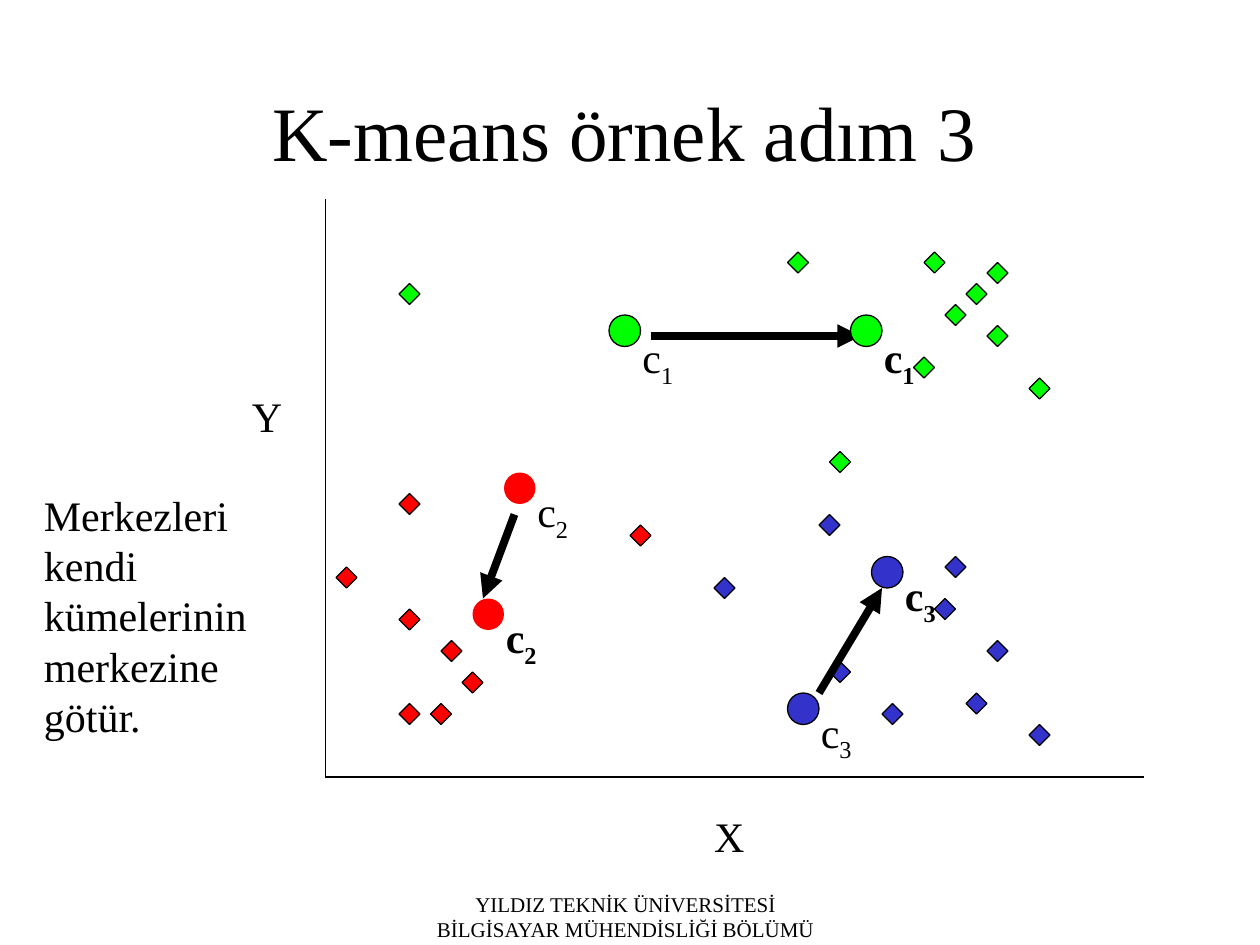
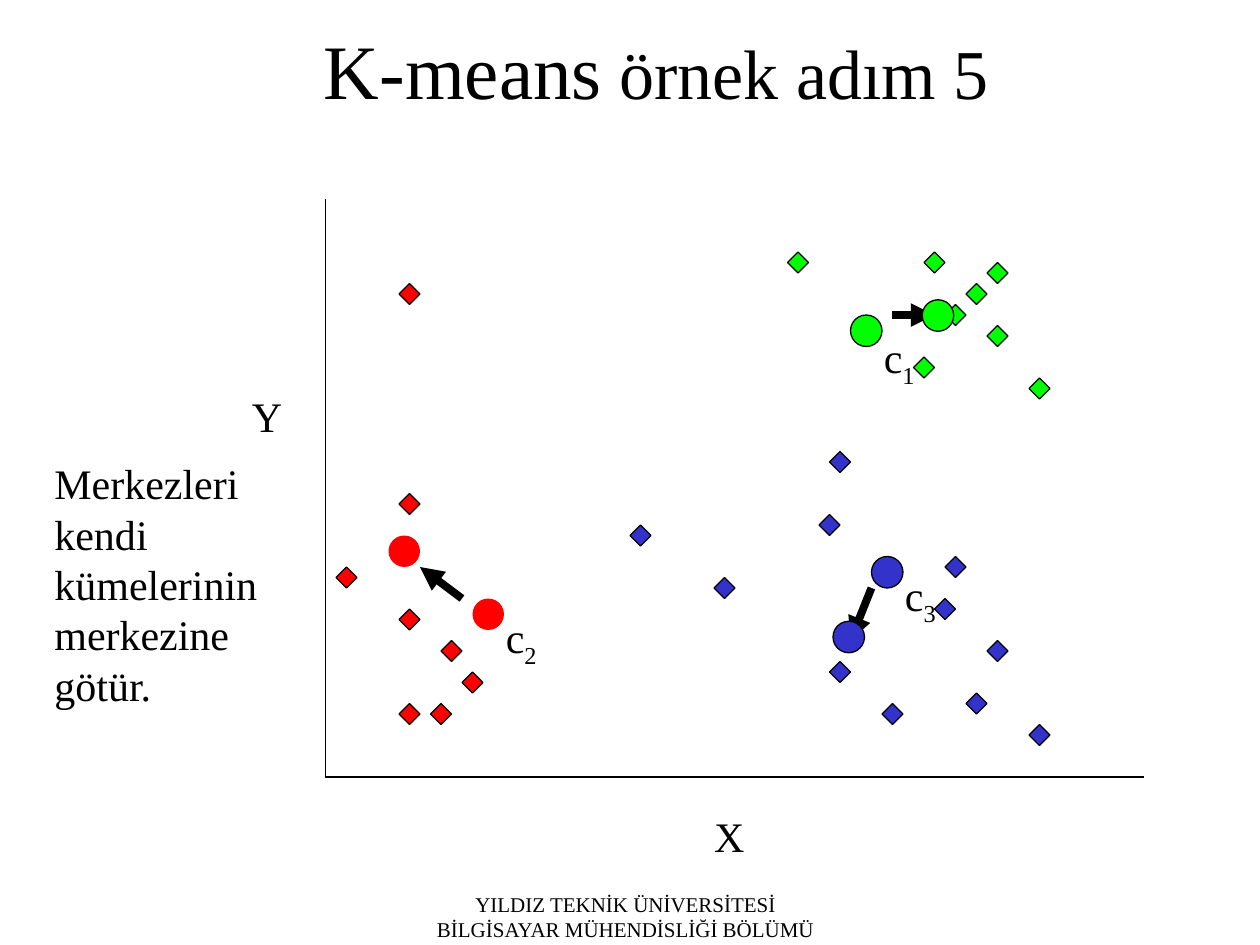
from lxml import etree
from pptx import Presentation
from pptx.dml.color import RGBColor
from pptx.enum import shapes, text
from pptx.oxml.ns import qn
from pptx.util import Pt

BLACK = RGBColor(0x00, 0x00, 0x00)
RED = RGBColor(0xFF, 0x00, 0x00)
GREEN = RGBColor(0x00, 0xFF, 0x00)
BLUE = RGBColor(0x33, 0x33, 0xCC)
FONT = "Times New Roman"
BODY_SIZE = 24
POINT_SIZE = 12
CENTER_SIZE = 18
ORIGIN = (186, 444)

# Left and top of the points that keep their cluster in both steps
STABLE_POINTS = {
    RED: [(252, 366), (264, 384), (246, 402), (228, 348), (228, 282),
          (228, 402), (192, 324)],
    GREEN: [(528, 144), (564, 150), (552, 162), (540, 174), (564, 186),
            (588, 216), (450, 144), (522, 204)],
    BLUE: [(474, 378), (504, 402), (534, 342), (468, 294), (408, 330),
           (564, 366), (552, 396), (540, 318), (588, 414)],
}
# Points that change cluster between the steps
UPPER_LEFT, MIDDLE, RIGHT = (228, 162), (360, 300), (474, 258)


def format_span(span, size, bold=False):
    span.font.name = FONT
    span.font.size = Pt(size)
    span.font.bold = bold
    span.font.color.rgb = BLACK


def add_text(slide, content, left, top, width, height, size=BODY_SIZE,
             align=text.PP_ALIGN.LEFT, wrap=True):
    box = slide.shapes.add_textbox(Pt(left), Pt(top), Pt(width), Pt(height))
    frame = box.text_frame
    frame.word_wrap = wrap
    frame.text = content
    for para in frame.paragraphs:
        para.alignment = align
        for span in para.runs:
            format_span(span, size)
    return box


def add_title(slide, parts, left, top, width, height):
    """Fill the title with (text, size) parts."""
    title = slide.shapes.title
    title.left, title.top = Pt(left), Pt(top)
    title.width, title.height = Pt(width), Pt(height)
    frame = title.text_frame
    frame.auto_size = text.MSO_AUTO_SIZE.NONE
    frame.vertical_anchor = text.MSO_ANCHOR.MIDDLE
    para = frame.paragraphs[0]
    para.alignment = text.PP_ALIGN.CENTER
    for words, size in parts:
        span = para.add_run()
        span.text = words
        format_span(span, size)


def add_marker(slide, kind, position, size, color, outlined=True):
    left, top = position
    marker = slide.shapes.add_shape(kind, Pt(left), Pt(top), Pt(size), Pt(size))
    marker.shadow.inherit = False
    marker.fill.solid()
    marker.fill.fore_color.rgb = color
    if outlined:
        marker.line.color.rgb = BLACK
        marker.line.width = Pt(0.75)
    else:
        marker.line.fill.background()


def add_line(slide, start, end, width=0.75, arrow=False):
    line = slide.shapes.add_connector(
        shapes.MSO_CONNECTOR.STRAIGHT, *map(Pt, start + end))
    line.line.color.rgb = BLACK
    line.line.width = Pt(width)
    properties = line.element.spPr
    if arrow:
        etree.SubElement(properties.find(qn("a:ln")), qn("a:tailEnd"),
                         type="triangle")
    etree.SubElement(properties, qn("a:effectLst"))


def add_points(slide, switching):
    for color, positions in STABLE_POINTS.items():
        for position in positions + switching[color]:
            add_marker(slide, shapes.MSO_SHAPE.DIAMOND, position, POINT_SIZE, color)


def add_axes(slide):
    add_line(slide, (ORIGIN[0], 114), ORIGIN)
    add_line(slide, ORIGIN, (654, ORIGIN[1]))
    add_text(slide, "X", 401, 459.4, 32, 36, wrap=False)
    add_text(slide, "Y", 136.8, 219.6, 32, 36, wrap=False)


def add_center(slide, position, color, index=None, bold=False):
    """Draw a cluster center, labelled c with its index if one is given."""
    add_marker(slide, shapes.MSO_SHAPE.OVAL, position, CENTER_SIZE, color,
               outlined=color != RED)
    if index is None:
        return
    left, top = position
    height = 40 if index == 1 else 36
    label = add_text(slide, "c", left + 12, top + 6, 42, height)
    label.text_frame.vertical_anchor = text.MSO_ANCHOR.MIDDLE
    para = label.text_frame.paragraphs[0]
    para.add_run().text = str(index)
    for span in para.runs:
        format_span(span, BODY_SIZE, bold)
    para.runs[1].font._element.set("baseline", "-25000")


def add_step(deck, title_parts, title_place, note_place, switching, arrows, centers):
    slide = deck.slides.add_slide(deck.slide_layouts[5])
    add_text(slide, "YILDIZ TEKNİK ÜNİVERSİTESİ\nBİLGİSAYAR MÜHENDİSLİĞİ BÖLÜMÜ",
             190, 506, 335, 34, size=12, align=text.PP_ALIGN.CENTER)
    add_title(slide, title_parts, *title_place)
    add_points(slide, switching)
    for start, end in arrows:
        add_line(slide, start, end, width=4.5, arrow=True)
    add_axes(slide)
    add_text(slide, "Merkezleri kendi kümelerinin merkezine götür.", *note_place)
    for center in centers:
        add_center(slide, *center)


def main():
    deck = Presentation()
    deck.slide_width, deck.slide_height = Pt(720), Pt(540)
    add_step(
        deck,
        title_parts=[("K-means örnek adım 3", 44)],
        title_place=(70.6, 48.2, 572.4, 52.6),
        note_place=(18, 276, 168, 180),
        switching={RED: [MIDDLE], GREEN: [UPPER_LEFT, RIGHT], BLUE: []},
        arrows=[((372, 192), (492, 192)), ((294, 294), (276, 342)),
                ((468, 396), (504, 336))],
        centers=[((486, 180), GREEN, 1, True), ((288, 270), RED, 2),
                 ((270, 342), RED, 2, True), ((348, 180), GREEN, 1),
                 ((450, 396), BLUE, 3), ((498, 318), BLUE, 3, True)],
    )
    add_step(
        deck,
        title_parts=[("K-means", 44), (" örnek adım 5", 40)],
        title_place=(54, 18, 642, 42),
        note_place=(24, 258, 144, 151),
        switching={RED: [UPPER_LEFT], GREEN: [], BLUE: [MIDDLE, RIGHT]},
        arrows=[((264, 342), (240, 324)), ((498, 336), (486, 366)),
                ((510, 180), (534, 180))],
        centers=[((486, 180), GREEN, 1), ((498, 318), BLUE, 3),
                 ((270, 342), RED, 2), ((222, 306), RED),
                 ((476, 355), BLUE), ((527, 171.3), GREEN)],
    )
    deck.save("out.pptx")


if __name__ == "__main__":
    main()
